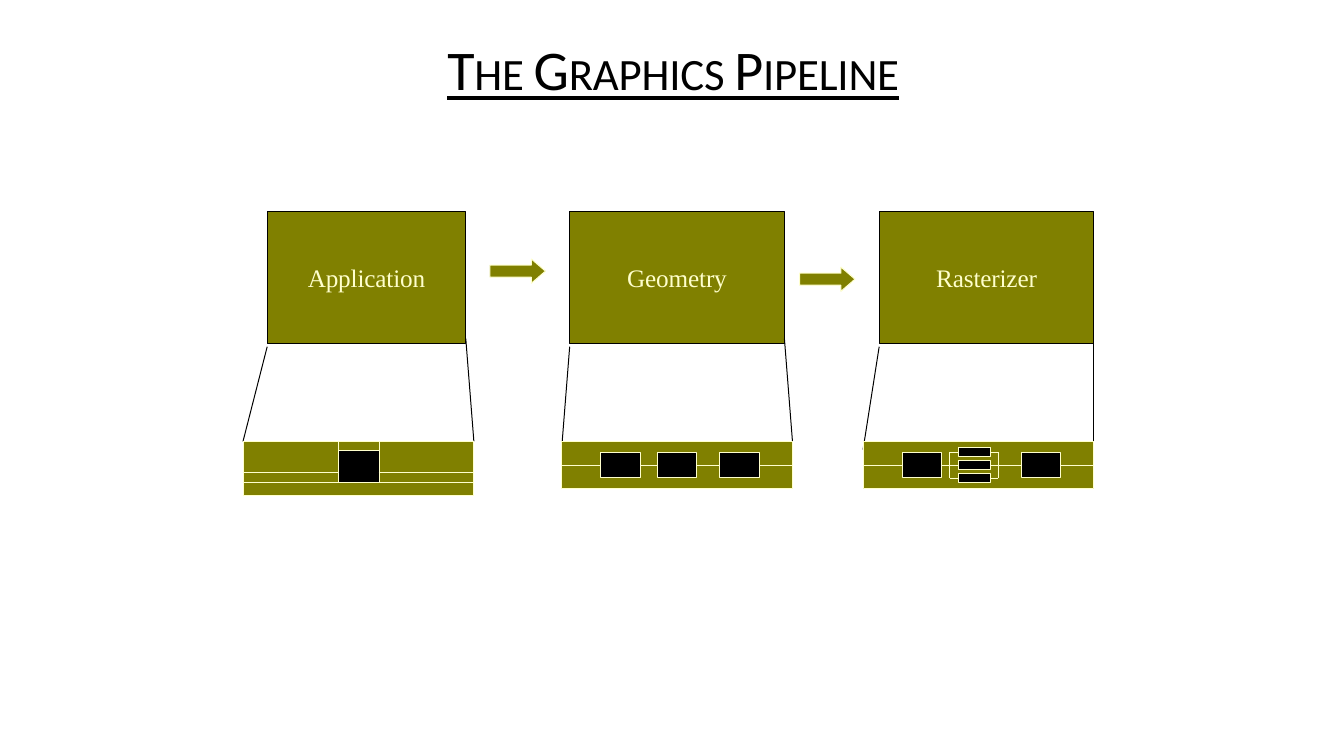
from dataclasses import dataclass

from lxml import etree
from pptx import Presentation
from pptx.dml.color import RGBColor
from pptx.enum.shapes import MSO_CONNECTOR, MSO_SHAPE
from pptx.enum.text import MSO_ANCHOR, PP_ALIGN
from pptx.oxml.ns import qn
from pptx.shapes.autoshape import Shape
from pptx.shapes.connector import Connector
from pptx.util import Inches, Pt

RECT, ARROW = MSO_SHAPE.RECTANGLE, MSO_SHAPE.RIGHT_ARROW
STRAIGHT = MSO_CONNECTOR.STRAIGHT
CENTER, MIDDLE = PP_ALIGN.CENTER, MSO_ANCHOR.MIDDLE
LEFT, RIGHT = 1, 3

COLORS = {"olive": "808000", "cream": "FFFFCC", "black": "000000"}
THIN = Pt(0.72)
TOP, FOOT = 2.1, 4.38
PANEL_W, PANEL_H = 2.29, 0.47
CHIP_W, CHIP_H = 0.39, 0.25
BAR_W, BAR_H, BAR_STEP = 0.31, 0.09, 0.13
MID = FOOT + PANEL_H / 2


@dataclass
class Stage:
    name: str
    left: float
    width: float
    foot: float
    drop: float


STAGES = [
    Stage("Application", 2.65, 1.97, 2.41, 4.38),
    Stage("Geometry", 5.65, 2.13, 5.57, 4.46),
    Stage("Rasterizer", 8.72, 2.13, 8.56, 4.46),
]
ARROWS = [(4.86, 2.57), (7.93, 2.65)]

prs = Presentation()
prs.slide_width, prs.slide_height = Inches(13.33), Inches(7.5)
slide = prs.slides.add_slide(prs.slide_layouts[5])
shapes = slide.shapes


def color(name: str) -> RGBColor:
    return RGBColor.from_string(COLORS[name])


def add_box(kind: MSO_SHAPE, left: float, top: float, width: float,
            height: float, fill: str, line: str) -> Shape:
    box = shapes.add_shape(kind, Inches(left), Inches(top), Inches(width), Inches(height))
    box.shadow.inherit = False
    box.fill.solid()
    box.fill.fore_color.rgb = color(fill)
    box.line.color.rgb = color(line)
    box.line.width = THIN
    return box


def add_line(x1: float, y1: float, x2: float, y2: float, ink: str) -> Connector:
    line = shapes.add_connector(STRAIGHT, Inches(x1), Inches(y1), Inches(x2), Inches(y2))
    line.line.color.rgb = color(ink)
    line.line.width = THIN
    etree.SubElement(line._element.spPr, qn("a:effectLst"))
    return line


def set_text(shape: Shape, text: str, font: str, size: float, ink: str) -> None:
    frame = shape.text_frame
    frame.text = text
    frame.word_wrap = True
    frame.vertical_anchor = MIDDLE
    para = frame.paragraphs[0]
    para.alignment = CENTER
    run = para.runs[0]
    run.font.name, run.font.size = font, Pt(size)
    run.font.color.rgb = color(ink)
    run.font._element.set("spc", "-10")


def add_title() -> None:
    title = shapes.title
    title.left, title.top = Inches(1.74), Inches(0.29)
    title.width, title.height = Inches(9.84), Inches(0.85)
    set_text(title, "The Graphics Pipeline", "Calibri", 40, "black")
    para = title.text_frame.paragraphs[0]
    para.line_spacing = 0.9
    font = para.runs[0].font
    font.underline = True
    font._element.set("cap", "small")


def add_stage(stage: Stage) -> None:
    """Draw the stage box and the two lines that lead to its detail."""
    box = add_box(RECT, stage.left, TOP, stage.width, 1.31, "olive", "black")
    set_text(box, stage.name, "Times New Roman", 18, "cream")
    add_line(stage.left, 3.44, stage.foot, stage.drop, "black")
    add_line(stage.left + stage.width, 3.36, stage.foot + PANEL_W, FOOT, "black")


def add_grid(left: float) -> None:
    """Draw the application detail as a table with merged cells."""
    cols, rows = [0.95, 0.4, 0.94], [0.09, 0.22, 0.1, 0.13]
    frame = shapes.add_table(len(rows), len(cols), Inches(left), Inches(FOOT),
                             Inches(sum(cols)), Inches(sum(rows)))
    table = frame.table
    table.first_row = table.horz_banding = False
    for col, width in zip(table.columns, cols):
        col.width = Inches(width)
    for row, height in zip(table.rows, rows):
        row.height = Inches(height)
    for start, end in [((0, 0), (1, 0)), ((0, 2), (1, 2)),
                       ((1, 1), (2, 1)), ((3, 0), (3, 2))]:
        table.cell(*start).merge(table.cell(*end))
    for cell in table.iter_cells():
        cell.margin_left = cell.margin_right = 0
        cell.margin_top = cell.margin_bottom = 0
        etree.SubElement(cell.text_frame.paragraphs[0]._p, qn("a:endParaRPr"), sz="100")
        props = cell._tc.get_or_add_tcPr()
        for side in ("lnL", "lnR", "lnT", "lnB"):
            edge = etree.SubElement(props, qn(f"a:{side}"), w=str(Pt(0.75)))
            ink = etree.SubElement(edge, qn("a:solidFill"))
            etree.SubElement(ink, qn("a:srgbClr"), val=COLORS["cream"])
        cell.fill.solid()
        cell.fill.fore_color.rgb = color("olive")
    for row in (1, 2):
        table.cell(row, 1).fill.fore_color.rgb = color("black")


def add_panel(left: float) -> Shape:
    return add_box(RECT, left, FOOT, PANEL_W, PANEL_H, "olive", "cream")


def add_chip(left: float, width: float = CHIP_W, height: float = CHIP_H,
             mid: float = MID) -> Shape:
    return add_box(RECT, left, mid - height / 2, width, height, "black", "cream")


def add_wires(panel: Shape, chips: list[Shape]) -> None:
    """Join the chips in a row, from the panel's left side to its right."""
    ends = [(panel, LEFT)]
    for chip in chips:
        ends += [(chip, LEFT), (chip, RIGHT)]
    ends.append((panel, RIGHT))
    for start, end in zip(ends[::2], ends[1::2]):
        wire = add_line(0, 0, 1, 1, "cream")
        wire.begin_connect(*start)
        wire.end_connect(*end)


def add_bars(left: float) -> list[Shape]:
    """Draw three parallel bars and the bus on each side of them."""
    mids = [MID + step * BAR_STEP for step in (-1, 0, 1)]
    bars = [add_chip(left, BAR_W, BAR_H, mid) for mid in mids]
    for side, bus in ((LEFT, left - 0.09), (RIGHT, left + BAR_W + 0.08)):
        add_line(bus, mids[0], bus, mids[2], "cream")
        for bar, mid in zip(bars[::2], mids[::2]):
            stub = add_line(bus, mid, left, mid, "cream")
            stub.end_connect(bar, side)
    return bars


def main() -> None:
    add_title()
    for stage in STAGES:
        add_stage(stage)
    for left, top in ARROWS:
        arrow = add_box(ARROW, left, top, 0.55, 0.24, "olive", "cream")
        arrow.adjustments[0], arrow.adjustments[1] = 0.5, 0.58
    app, geo, ras = [stage.foot for stage in STAGES]
    add_grid(app)
    panel = add_panel(geo)
    add_wires(panel, [add_chip(geo + gap) for gap in (0.39, 0.95, 1.57)])
    panel = add_panel(ras)
    first, last = [add_chip(ras + gap) for gap in (0.39, 1.57)]
    bars = add_bars(ras + 0.95)
    add_wires(panel, [first, bars[1], last])
    prs.save("out.pptx")


if __name__ == "__main__":
    main()
